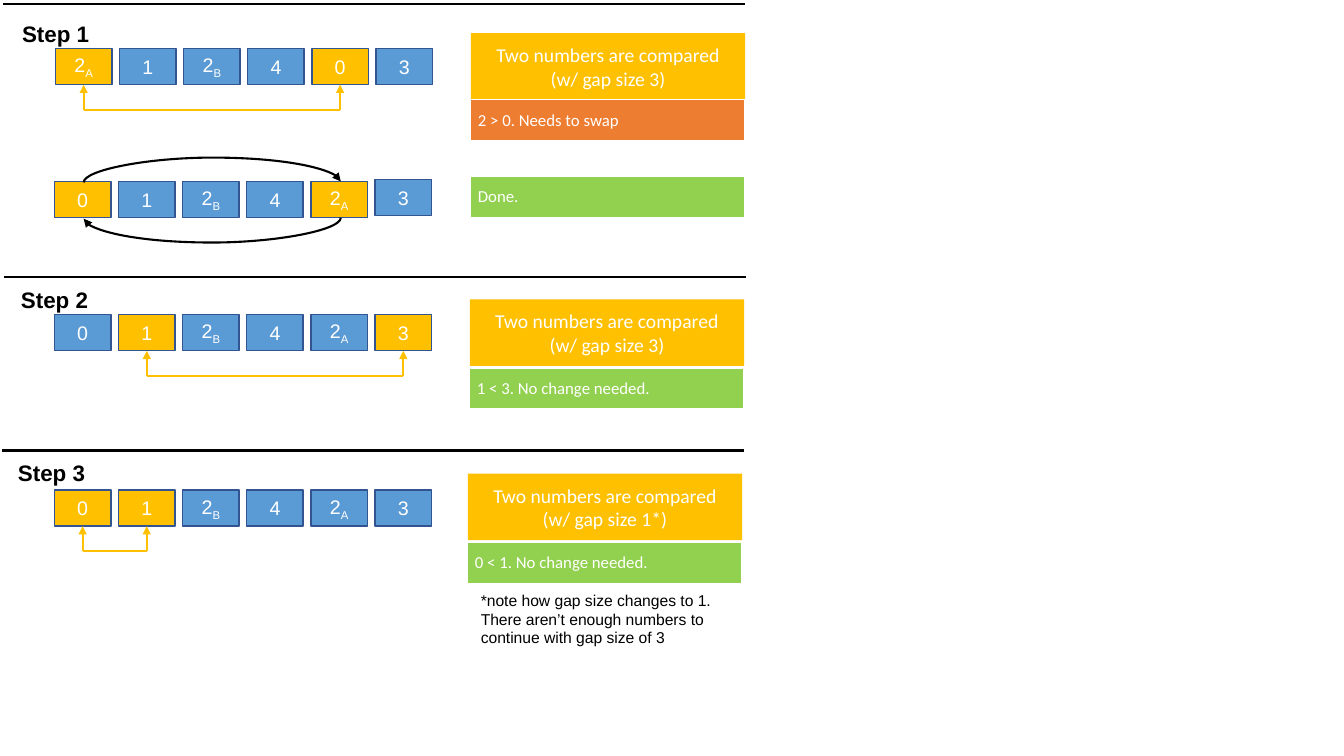
from lxml.etree import SubElement
from pptx import Presentation
from pptx.dml.color import RGBColor
from pptx.enum.shapes import MSO_CONNECTOR, MSO_SHAPE
from pptx.enum.text import MSO_ANCHOR, MSO_AUTO_SIZE, PP_ALIGN
from pptx.oxml import parse_xml
from pptx.oxml.ns import nsdecls, qn
from pptx.util import Inches, Pt

THEME = {
    "gold": RGBColor.from_string("FFC000"), "blue": RGBColor.from_string("5B9BD5"),
    "edge": RGBColor.from_string("325491"), "orange": RGBColor.from_string("ED7D31"),
    "green": RGBColor.from_string("92D050"), "white": RGBColor.from_string("FFFFFF"),
    "black": RGBColor.from_string("000000"),
    "number": {"name": "Arial", "size": Pt(14)},
    "step": {"name": "Arial", "size": Pt(16), "bold": True},
    "caption": {"name": "Calibri", "size": Pt(14)},
    "result": {"name": "Calibri", "size": Pt(12)},
    "note": {"name": "Arial", "size": Pt(11.2)},
}
CELL_W, CELL_H, PITCH = 0.56, 0.36, 3.18 / 5
PANEL_W, RULE_W, DROP = 2.72, 7.36, 0.25

# One entry per step: rule, title, caption panel and compared pair
STEPS = [
    {"title": "Step 1", "rule": (0.03, 0.04), "label": (0.12, 0.15),
     "panel": (4.67, 0.33), "gap": "3", "pair": (0, 4), "row": (0.55, 0.48)},
    {"title": "Step 2", "rule": (0.04, 2.75), "label": (0.11, 2.79),
     "panel": (4.66, 2.97), "gap": "3", "pair": (1, 5), "row": (0.54, 3.12)},
    {"title": "Step 3", "rule": (0.02, 4.47), "label": (0.08, 4.51),
     "panel": (4.64, 4.7), "gap": "1*", "pair": (0, 1), "row": (0.54, 4.86)},
]
# Left, top, numbers, highlighted positions, lift of the last cell
ROWS = [
    (0.55, 0.48, "2A 1 2B 4 0 3", (0, 4), 0),
    (0.54, 1.8, "0 1 2B 4 2A 3", (0, 4), 0.02),
    (0.54, 3.12, "0 1 2B 4 2A 3", (1, 5), 0),
    (0.54, 4.86, "0 1 2B 4 2A 3", (0, 1), 0),
]
RESULTS = [
    (4.67, 0.99, "2 > 0. Needs to swap", "orange"),
    (4.67, 1.75, "Done.", "green"),
    (4.66, 3.65, "1 < 3. No change needed.", "green"),
    (4.64, 5.38, "0 < 1. No change needed.", "green"),
]


def write(p, text, style, color):
    """Add a run in a theme style and return it."""
    r = p.add_run()
    r.text = text
    for name, value in THEME[style].items():
        setattr(r.font, name, value)
    r.font.color.rgb = THEME[color]
    return r


def connect(kind, x1, y1, x2, y2, color, arrow=False):
    """Add a shadowless connector, with an arrowhead at its end if asked."""
    c = s.shapes.add_connector(kind, Inches(x1), Inches(y1), Inches(x2), Inches(y2))
    c.line.color.rgb, c.line.width = THEME[color], Pt(1.5)
    if arrow:
        SubElement(c.line._get_or_add_ln(), qn("a:tailEnd"), type="triangle")
    SubElement(c._element.spPr, qn("a:effectLst"))
    return c


prs = Presentation()
prs.slide_width, prs.slide_height = Inches(13.33), Inches(7.5)
s = prs.slides.add_slide(prs.slide_layouts[6])

# Rectangles: number cells first, then caption panels
boxes = []
for left, top, numbers, lit, lift in ROWS:
    for i, number in enumerate(numbers.split()):
        y = top - lift if i == 5 else top
        fill = "gold" if i in lit else "blue"
        boxes.append((left + i * PITCH, y, CELL_W, CELL_H, fill, number, "number"))
for step in STEPS:
    caption = f"Two numbers are compared (w/ gap size {step['gap']})"
    boxes.append((*step["panel"], PANEL_W, 0.66, "gold", caption, "caption"))

for x, y, w, h, fill, text, style in boxes:
    sp = s.shapes.add_shape(MSO_SHAPE.RECTANGLE, Inches(x), Inches(y), Inches(w), Inches(h))
    sp.shadow.inherit = False
    sp.fill.solid()
    sp.fill.fore_color.rgb = THEME[fill]
    sp.text_frame.vertical_anchor = MSO_ANCHOR.MIDDLE
    sp.text_frame.word_wrap = True
    p = sp.text_frame.paragraphs[0]
    p.alignment = PP_ALIGN.CENTER
    if style == "caption":
        sp.line.fill.background()
        write(p, text, style, "white")
        continue
    sp.line.color.rgb, sp.line.width = THEME["edge"], Pt(1)
    write(p, text[0], style, "white")
    if text[1:]:
        r = write(p, text[1:], style, "white")
        r.font._element.set("baseline", "-25000")

# Outcome of each comparison
for x, y, text, fill in RESULTS:
    table = s.shapes.add_table(1, 1, Inches(x), Inches(y), Inches(PANEL_W), Inches(0.42)).table
    table.first_row = table.horz_banding = False
    cell = table.cell(0, 0)
    margins = {"margin_left": 0.07, "margin_right": 0.07, "margin_top": 0, "margin_bottom": 0}
    for name, value in margins.items():
        setattr(cell, name, Inches(value))
    p = cell.text_frame.paragraphs[0]
    p.line_spacing = 1.5
    write(p, text, "result", "white")
    tcPr = cell._tc.get_or_add_tcPr()
    for side, points in {"L": 1, "R": 1, "T": 1, "B": 3}.items():
        tcPr.append(parse_xml(
            f'<a:ln{side} {nsdecls("a")} w="{Pt(points)}"><a:solidFill>'
            f'<a:srgbClr val="{THEME["white"]}"/></a:solidFill></a:ln{side}>'))
    cell.fill.solid()
    cell.fill.fore_color.rgb = THEME[fill]

# Step rules, titles and brackets under the compared pair
for step in STEPS:
    x, y = step["rule"]
    connect(MSO_CONNECTOR.STRAIGHT, x, y, x + RULE_W, y, "black")
    x, y = step["label"]
    sp = s.shapes.add_textbox(Inches(x), Inches(y), Inches(0.88), Inches(0.37))
    sp.text_frame.word_wrap = False
    sp.text_frame.auto_size = MSO_AUTO_SIZE.SHAPE_TO_FIT_TEXT
    write(sp.text_frame.paragraphs[0], step["title"], "step", "black")
    left, top = step["row"]
    ends = [left + CELL_W / 2 + i * PITCH for i in step["pair"]]
    bottom = top + CELL_H
    for x in ends:
        connect(MSO_CONNECTOR.STRAIGHT, x, bottom + DROP, x, bottom, "gold", True)
    connect(MSO_CONNECTOR.STRAIGHT, ends[0], bottom + DROP, ends[1], bottom + DROP, "gold")

# Swap arrows: upright curves turned a quarter, bulging 25 times their width
for x1, y1, x2, y2 in [(2.1, 0.89, 2.11, 3.44), (2.11, 3.08, 2.1, 0.53)]:
    c = connect(MSO_CONNECTOR.CURVE, x1, y1, x2, y2, "black", True)
    c._element.spPr.find(qn("a:xfrm")).set("rot", "5400000")
    guides = c._element.spPr.find(qn("a:prstGeom")).get_or_add_avLst()
    SubElement(guides, qn("a:gd"), name="adj1", fmla="val 2500000")

sp = s.shapes.add_textbox(Inches(4.67), Inches(5.81), Inches(2.69), Inches(0.59))
sp.text_frame.word_wrap = True
note = ("*note how gap size changes to 1. There aren’t enough numbers "
        "to continue with gap size of 3")
write(sp.text_frame.paragraphs[0], note, "note", "black")

prs.save("out.pptx")
